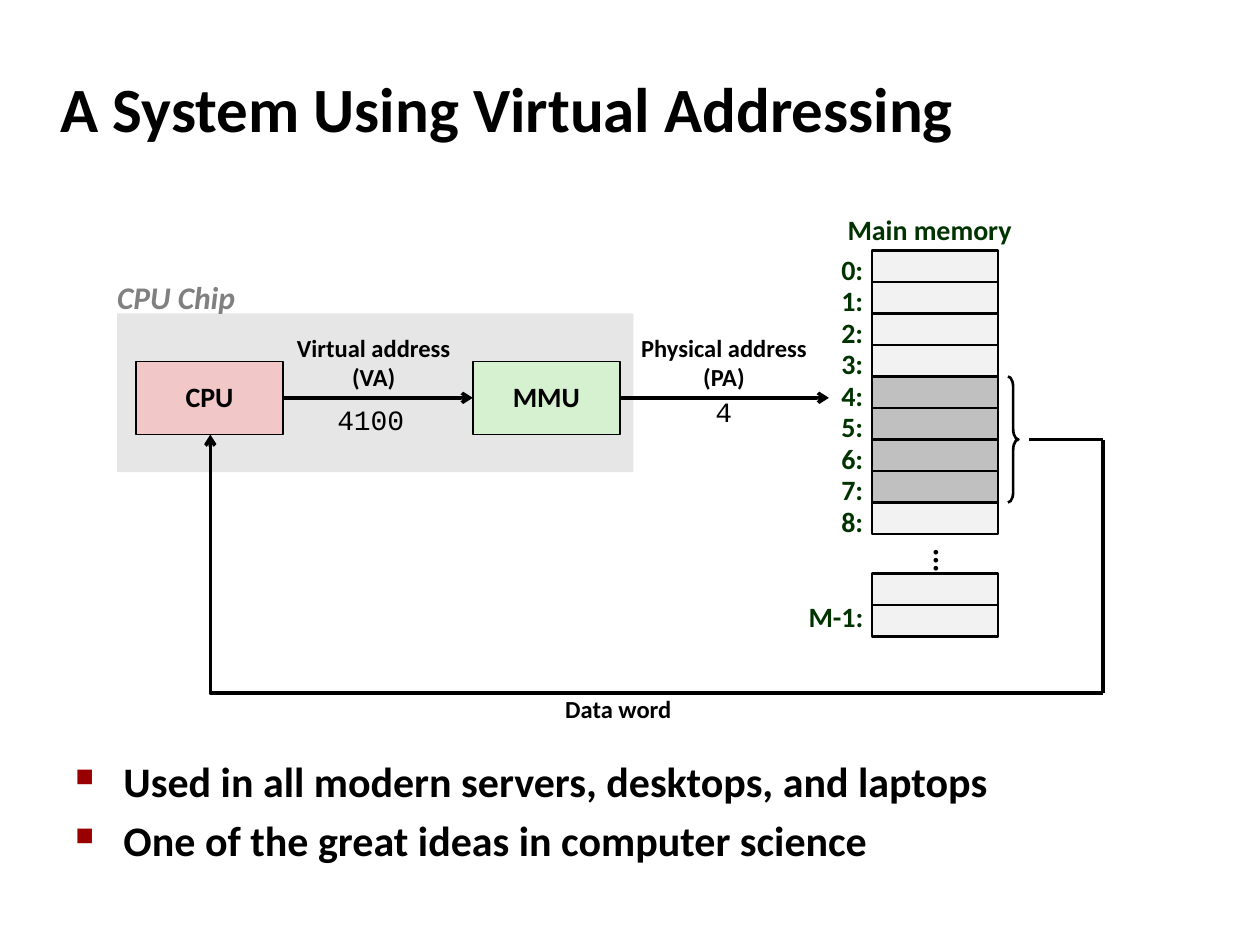
from dataclasses import dataclass

from lxml import etree
from pptx import Presentation
from pptx.dml.color import RGBColor
from pptx.enum.shapes import MSO_CONNECTOR, MSO_SHAPE
from pptx.enum.text import MSO_ANCHOR, PP_ALIGN
from pptx.oxml.ns import qn
from pptx.util import Cm, Pt

RECTANGLE, BRACE = MSO_SHAPE.RECTANGLE, MSO_SHAPE.RIGHT_BRACE
STRAIGHT, ELBOW = MSO_CONNECTOR.STRAIGHT, MSO_CONNECTOR.ELBOW
LEFT, CENTER = PP_ALIGN.LEFT, PP_ALIGN.CENTER
TOP, MIDDLE = MSO_ANCHOR.TOP, MSO_ANCHOR.MIDDLE


@dataclass(frozen=True)
class Theme:
    black: str = "000000"
    memory_text: str = "003300"
    chip_text: str = "808080"
    bullet: str = "990000"
    chip: str = "E6E6E6"
    cpu: str = "F1C7C7"
    mmu: str = "D5F1CF"
    cell: str = "F2F2F2"
    word: str = "C0C0C0"
    sans: str = "Calibri"
    mono: str = "Courier New"
    title: int = 36
    body: int = 24
    heading: int = 18
    label: int = 16
    caption: int = 14


theme = Theme()


def write(box, text, size, color=theme.black, align=LEFT, anchor=TOP,
          spacing=1.0, font=theme.sans, wrap=False):
    frame = box.text_frame
    frame.text = text
    frame.word_wrap = wrap
    frame.vertical_anchor = anchor
    for para in frame.paragraphs:
        para.alignment = align
        para.line_spacing = spacing
        for span in para.runs:
            span.font.name = font
            span.font.size = Pt(size)
            span.font.bold = font == theme.sans
            span.font.color.rgb = RGBColor.from_string(color)
    return frame


def connect(kind, start_x, start_y, end_x, end_y, arrow):
    connector = page.shapes.add_connector(
        kind, Cm(start_x), Cm(start_y), Cm(end_x), Cm(end_y))
    connector.line.width = Pt(2)
    connector.line.color.rgb = RGBColor.from_string(theme.black)
    if arrow:
        etree.SubElement(connector.line._get_or_add_ln(), qn("a:tailEnd"), type="arrow")
    properties = connector._element.spPr
    etree.SubElement(properties, qn("a:effectLst"))
    return properties


deck = Presentation()
deck.slide_width, deck.slide_height = Cm(25.4), Cm(19.05)
page = deck.slides.add_slide(deck.slide_layouts[6])

memory_left, memory_top, tail_top = 17.58, 5.05, 11.56
cell_width = 2.54
cell_height = cell_width / 4
word_cells = range(4, 8)
cell_tops = [memory_top + row * cell_height for row in range(9)]

blocks = [
    (2.36, 6.32, 10.41, 3.2, theme.chip, 0, ""),
    (2.74, 7.29, 2.97, 1.47, theme.cpu, 1, "CPU"),
    (9.53, 7.29, 2.97, 1.47, theme.mmu, 1, "MMU"),
]
for row, top in enumerate(cell_tops):
    fill = theme.word if row in word_cells else theme.cell
    blocks.append((memory_left, top, cell_width, cell_height, fill, 1.5, ""))
for row in range(2):
    top = tail_top + row * cell_height
    blocks.append((memory_left, top, cell_width, cell_height, theme.cell, 1.5, ""))

for left, top, width, height, fill, outline, name in blocks:
    block = page.shapes.add_shape(RECTANGLE, Cm(left), Cm(top), Cm(width), Cm(height))
    block.shadow.inherit = False
    block.fill.solid()
    block.fill.fore_color.rgb = RGBColor.from_string(fill)
    if outline:
        block.line.width = Pt(outline)
        block.line.color.rgb = RGBColor.from_string(theme.black)
    else:
        block.line.fill.background()
    if name:
        write(block, name, theme.label, align=CENTER, anchor=MIDDLE, spacing=0.98)

brace = page.shapes.add_shape(
    BRACE, Cm(20.32), Cm(cell_tops[word_cells[0]]), Cm(0.21), Cm(4 * cell_height))
brace.adjustments[0] = 1
brace.adjustments[1] = 0.5
brace.shadow.inherit = False
brace.fill.background()
brace.line.width = Pt(1.5)
brace.line.color.rgb = RGBColor.from_string(theme.black)

memory_labels = [(16.71, top, 0.94, f"{row}:", LEFT) for row, top in enumerate(cell_tops)]
memory_labels += [
    (16.05, 12.04, 1.63, "M-1:", LEFT),
    (16.81, 4.24, 3.86, "Main memory", CENTER),
]
for left, top, width, text, align in memory_labels:
    box = page.shapes.add_textbox(Cm(left), Cm(top), Cm(width), Cm(0.84))
    write(box, text, theme.label, theme.memory_text, align, spacing=0.88)

for left, top, width, height, text in [
    (5.72, 6.6, 3.63, 1.45, "Virtual address\n(VA)"),
    (12.65, 6.6, 3.89, 1.45, "Physical address\n(PA)"),
    (11.13, 13.89, 2.67, 0.84, "Data word"),
]:
    box = page.shapes.add_textbox(Cm(left), Cm(top), Cm(width), Cm(height))
    write(box, text, theme.caption, align=CENTER, anchor=MIDDLE, spacing=0.98)

for left, top, width, address in [(6.55, 8.0, 1.88, "4100"), (14.17, 7.82, 0.86, "4")]:
    box = page.shapes.add_textbox(Cm(left), Cm(top), Cm(width), Cm(0.94))
    write(box, address, theme.label, font=theme.mono)

chip_label = page.shapes.add_textbox(Cm(2.11), Cm(5.49), Cm(2.95), Cm(1.02))
frame = write(chip_label, "CPU Chip", theme.heading, theme.chip_text)
frame.paragraphs[0].runs[0].font.italic = True

dots = page.shapes.add_textbox(Cm(17.78), Cm(10.8), Cm(2.54), Cm(0.64))
frame = write(dots, "...", theme.heading, align=CENTER, anchor=MIDDLE, spacing=0.98)
frame._txBody.bodyPr.set("vert", "eaVert")

for start_x, start_y, end_x, end_y, arrow in [
    (5.71, 8.02, 9.53, 8.02, True),
    (12.5, 8.02, 16.71, 8.02, True),
    (20.75, 8.86, 22.23, 8.86, False),
    (22.23, 8.86, 22.23, 13.97, False),
]:
    connect(STRAIGHT, start_x, start_y, end_x, end_y, arrow)

return_line = connect(ELBOW, 4.24, 8.76, 22.23, 13.97, True)
return_line.find(qn("a:prstGeom")).set("prst", "bentConnector2")
return_line.find(qn("a:xfrm")).set("rot", "10800000")

title = page.shapes.add_textbox(Cm(0.97), Cm(1.07), Cm(24.21), Cm(2.18))
write(title, "A System Using Virtual Addressing", theme.title, anchor=MIDDLE, wrap=True)

body = page.shapes.add_textbox(Cm(1.27), Cm(15.11), Cm(23.09), Cm(3.51))
points = "Used in all modern servers, desktops, and laptops\nOne of the great ideas in computer science"
frame = write(body, points, theme.body, wrap=True)
for index, para in enumerate(frame.paragraphs):
    para.space_before = Pt(4.8 if index else 0)
    properties = para._p.get_or_add_pPr()
    properties.set("marL", str(Cm(0.97)))
    properties.set("indent", str(Cm(-0.97)))
    bullet_color = etree.SubElement(properties, qn("a:buClr"))
    etree.SubElement(bullet_color, qn("a:srgbClr"), val=theme.bullet)
    etree.SubElement(properties, qn("a:buSzPct"), val="60000")
    etree.SubElement(properties, qn("a:buChar"), char="■")

deck.save("out.pptx")
